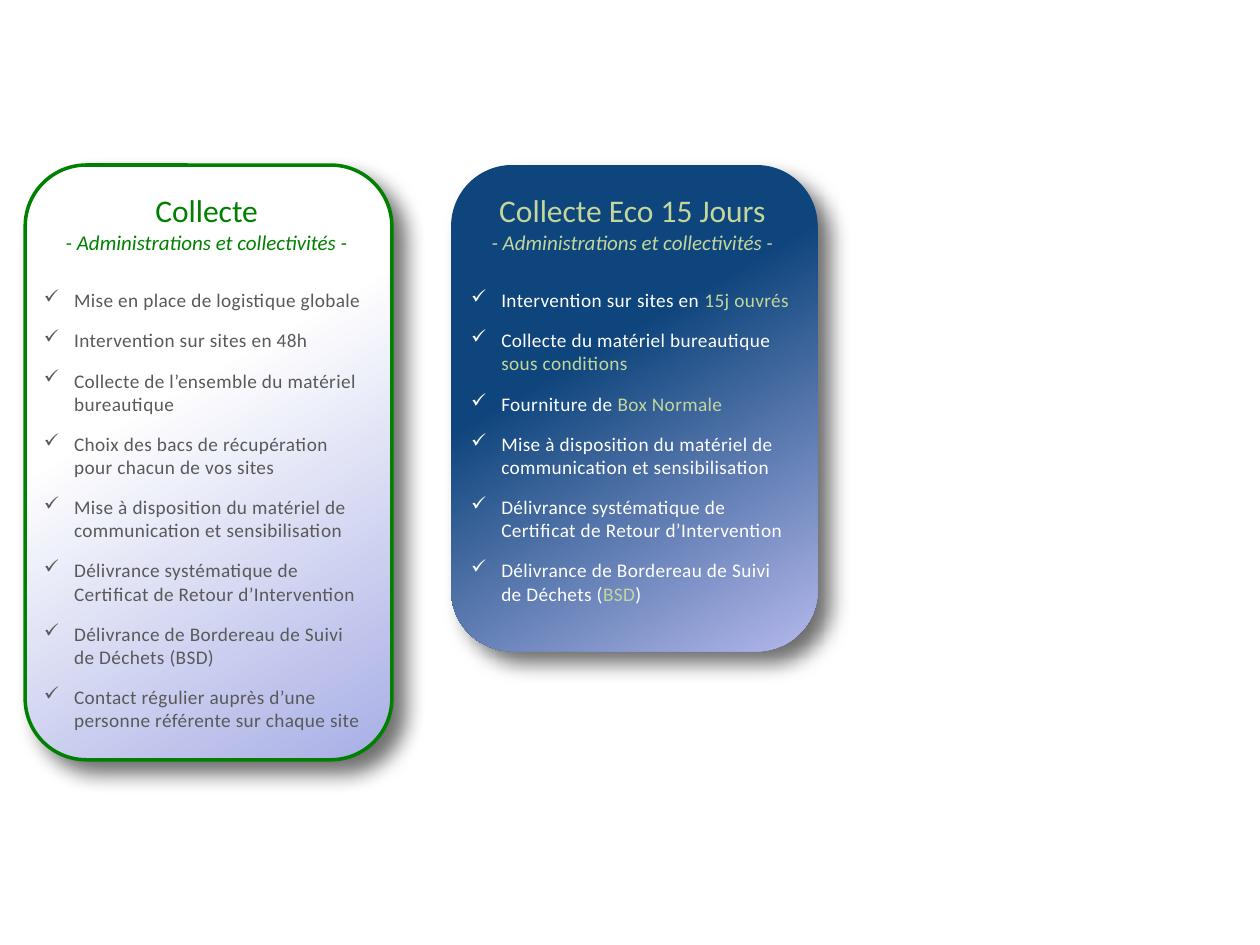
"""Build a slide with two rounded cards describing collection services."""
from lxml import etree
from pptx import Presentation, util as u
from pptx.dml.color import RGBColor
from pptx.enum import shapes, text
from pptx.oxml import ns

GREEN = RGBColor(0x00, 0x80, 0x00)
NAVY = RGBColor(0x0E, 0x45, 0x7C)
LAVENDER = RGBColor(0xAC, 0xB2, 0xE6)
GREY = RGBColor(0x96, 0x96, 0x96)
DARK_GREY = RGBColor(0x59, 0x59, 0x59)
LIME = RGBColor(0xC3, 0xD6, 0x9B)
WHITE = RGBColor(0xFF, 0xFF, 0xFF)
BLACK = RGBColor(0x00, 0x00, 0x00)

FONT = "Calibri"
INDENT = u.Inches(0.24)
AUDIENCE = "- Administrations et collectivités -"
SUPPORT = "Mise à disposition du matériel de\ncommunication et sensibilisation"
CERTIFICATE = "Délivrance systématique de\nCertificat de Retour d’Intervention"

STANDARD_ITEMS = [
    "Mise en place de logistique globale",
    "Intervention sur sites en 48h",
    "Collecte de l’ensemble du matériel\nbureautique",
    "Choix des bacs de récupération\npour chacun de vos sites",
    SUPPORT,
    CERTIFICATE,
    "Délivrance de Bordereau de Suivi\nde Déchets (BSD)",
    "Contact régulier auprès d’une\npersonne référente sur chaque site",
]
ECO_ITEMS = [
    "Intervention sur sites en *15j ouvrés*",
    "Collecte du matériel bureautique\n*sous conditions*",
    "Fourniture de *Box Normale*",
    SUPPORT,
    CERTIFICATE,
    "Délivrance de Bordereau de Suivi\nde Déchets (*BSD*)",
]


def add_child(parent, tag, **attributes):
    """Append a DrawingML element with the given attributes."""
    child = etree.SubElement(parent, ns.qn(tag))
    for name, value in attributes.items():
        child.set(name, str(value))
    return child


def add_color(parent, color):
    """Append an RGB colour element."""
    return add_child(parent, "a:srgbClr", val=color)


def set_gradient(panel, stops, angle):
    """Fill a panel with a linear gradient."""
    panel.fill.gradient()
    gradient = panel.element.spPr.find(ns.qn("a:gradFill"))
    for child in list(gradient):
        gradient.remove(child)
    stop_list = add_child(gradient, "a:gsLst")
    for percent, color in stops:
        add_color(add_child(stop_list, "a:gs", pos=percent * 1000), color)
    add_child(gradient, "a:lin", ang=angle * 60000, scaled=0)


def set_shadow(panel):
    """Give a panel a soft shadow to the lower right."""
    panel.shadow.inherit = False
    effects = panel.element.spPr.find(ns.qn("a:effectLst"))
    shadow = add_child(effects, "a:outerShdw", blurRad=u.Pt(12), dist=u.Pt(10),
                       dir=45 * 60000, algn="tl", rotWithShape=0)
    add_child(add_color(shadow, BLACK), "a:alpha", val=56000)


def add_panel(slide, left, height, start, border):
    """Draw the rounded background of a card."""
    panel = slide.shapes.add_shape(
        shapes.MSO_SHAPE.ROUNDED_RECTANGLE,
        u.Inches(left), u.Inches(1.31), u.Inches(2.91), u.Inches(height))
    set_gradient(panel, [(38, start), (97, LAVENDER), (100, GREY)], 60)
    if border is None:
        panel.line.fill.background()
    else:
        panel.line.color.rgb = border
        panel.line.width = u.Pt(2)
    set_shadow(panel)


def add_frame(slide, left, top, width, height):
    """Add a wrapping text box and return its text frame."""
    box = slide.shapes.add_textbox(
        u.Inches(left), u.Inches(top), u.Inches(width), u.Inches(height))
    frame = box.text_frame
    frame.word_wrap = True
    frame.auto_size = text.MSO_AUTO_SIZE.SHAPE_TO_FIT_TEXT
    return frame


def add_run(paragraph, words, *, size, color, italic=None, spacing=None):
    """Add formatted words to a paragraph."""
    run = paragraph.add_run()
    run.text = words
    run.font.name = FONT
    run.font.size = u.Pt(size)
    run.font.color.rgb = color
    run.font.italic = italic
    if spacing:
        run.font._element.set("spc", str(round(spacing * 100)))


def next_paragraph(frame):
    """Return the unused first paragraph or a new one."""
    first = frame.paragraphs[0]
    return frame.add_paragraph() if first.runs else first


def add_heading(slide, left, title, color):
    """Write the title and audience of a card."""
    frame = add_frame(slide, left + 0.1, 1.47, 2.68, 0.61)
    for words, size, italic in [(title, 18, None), (AUDIENCE, 12, True)]:
        paragraph = next_paragraph(frame)
        paragraph.alignment = text.PP_ALIGN.CENTER
        add_run(paragraph, words, size=size, color=color, italic=italic)


def add_checklist(slide, left, height, items, color, accent):
    """Write ticked items, with starred words in the accent colour."""
    frame = add_frame(slide, left, 2.24, 2.76, height)
    for item in items:
        for number, line in enumerate(item.split("\n")):
            paragraph = next_paragraph(frame)
            for index, words in enumerate(line.split("*")):
                if words:
                    add_run(paragraph, words, size=11, spacing=0.2,
                            color=accent if index % 2 else color)
            properties = paragraph._p.get_or_add_pPr()
            properties.set("marL", str(INDENT))
            if number == 0:
                properties.set("indent", str(-INDENT))
                add_child(properties, "a:buChar", char="✓")
        if item != items[-1]:
            paragraph.space_after = u.Pt(9.75)


def main():
    """Create and save the slide."""
    deck = Presentation()
    deck.slide_width, deck.slide_height = u.Inches(10), u.Inches(7.5)
    slide = deck.slides.add_slide(deck.slide_layouts[6])

    add_panel(slide, 0.2, 4.72, WHITE, GREEN)
    add_heading(slide, 0.2, "Collecte", GREEN)
    add_checklist(slide, 0.25, 3.64, STANDARD_ITEMS, DARK_GREY, DARK_GREY)

    add_panel(slide, 3.58, 3.86, NAVY, None)
    add_heading(slide, 3.58, "Collecte Eco 15 Jours", LIME)
    add_checklist(slide, 3.64, 2.63, ECO_ITEMS, WHITE, LIME)

    deck.save("out.pptx")


main()
